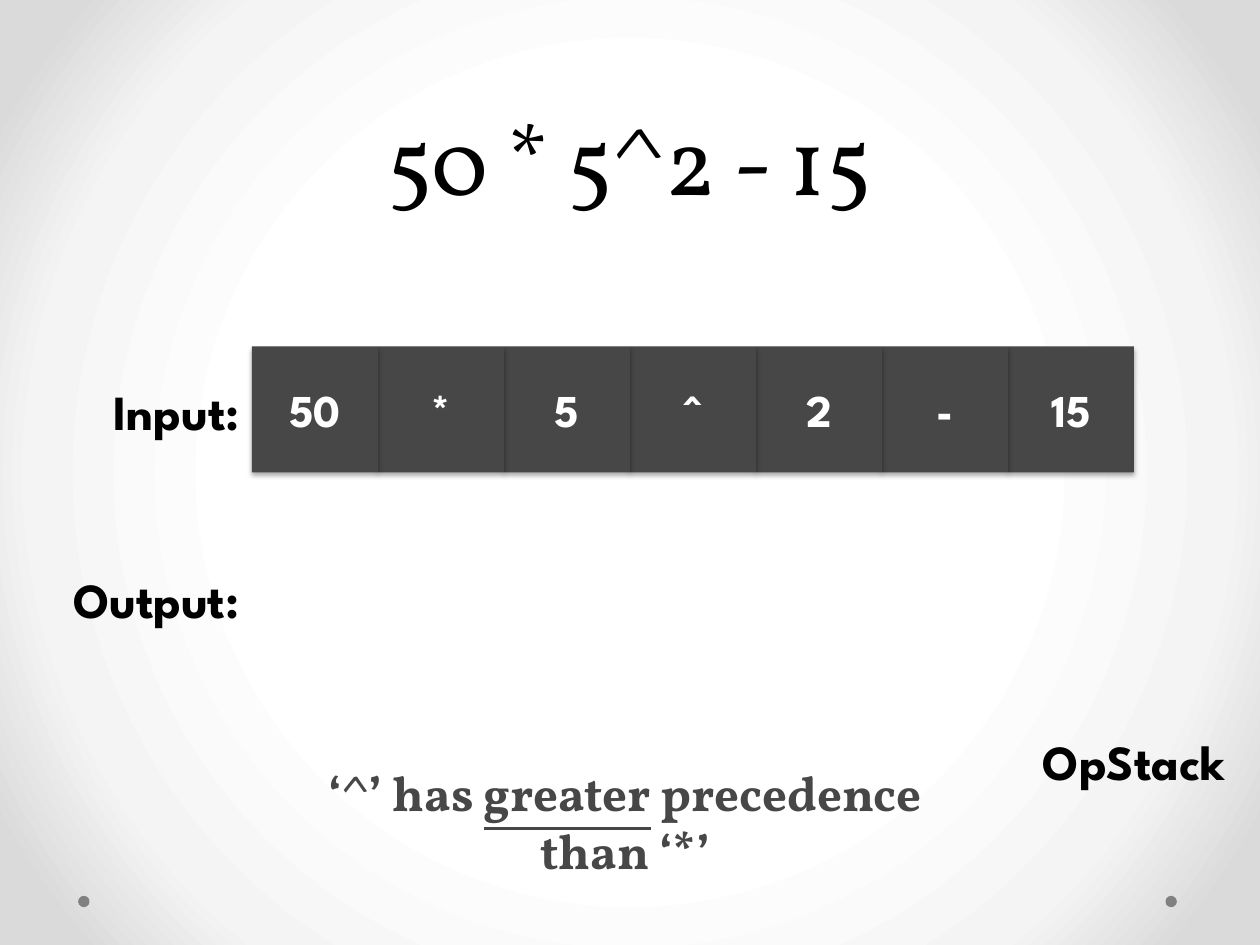
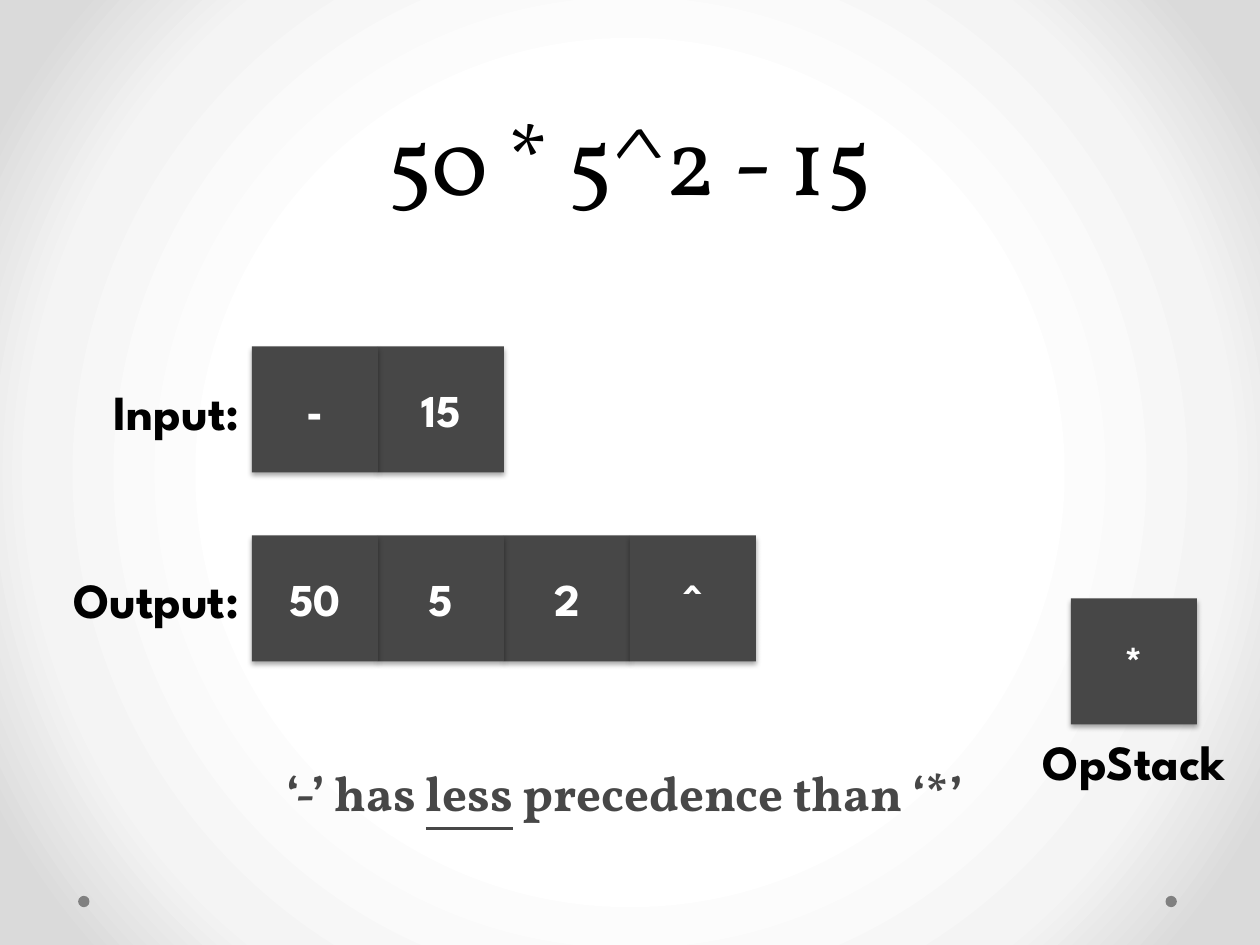
import pptx
import pptx.dml.color
import pptx.enum.shapes
import pptx.enum.text
import pptx.oxml
import pptx.oxml.ns
import pptx.util

EMU_PER_PX = 9144
CELL = 100
INPUT_TOP, OUTPUT_TOP, ROW_LEFT = 275, 425, 200
GRAY, BLACK, WHITE, DOT = "474747", "000000", "FFFFFF", "808080"
SANS, SERIF = "League Spartan", "Vollkorn"
BACKGROUND_STOPS = [(50, "FFFFFF"), (76, "F4F4F4"), (92, "DADADA")]
SHAPES = pptx.enum.shapes.MSO_SHAPE
ALIGN = pptx.enum.text.PP_ALIGN
ANCHOR = pptx.enum.text.MSO_ANCHOR
NS = pptx.oxml.ns.nsdecls("a")


def px(*values):
    return [pptx.util.Emu(v * EMU_PER_PX) for v in values]


def rgb(value):
    return pptx.dml.color.RGBColor.from_string(value)


class Deck:
    """Hold the shared style and the current slide of the stack walkthrough."""

    def __init__(self, prs):
        self.prs = prs
        self.slide = None

    def new_slide(self):
        self.slide = self.prs.slides.add_slide(self.prs.slide_layouts[6])
        self.background()
        for left in (925, 62):
            self.shape(SHAPES.OVAL, left, 711, 9, 9, DOT)
        self.text(50, 0, 900, 175, ["50 * 5^2 - 15"], 54, SERIF, bold=False,
                  anchor=ANCHOR.BOTTOM, spacing=58)
        self.text(0, 276, 200, 100, ["Input:"], align=ALIGN.RIGHT, anchor=ANCHOR.MIDDLE)
        self.text(0, 425, 200, 100, ["Output:"], align=ALIGN.RIGHT, anchor=ANCHOR.MIDDLE)
        self.text(800, 576, 200, 57, ["OpStack"])

    def background(self):
        self.slide.background.fill.gradient()
        grad = self.slide.element.find(".//" + pptx.oxml.ns.qn("a:gradFill"))
        for child in list(grad):
            grad.remove(child)
        stops = "".join(f'<a:gs pos="{pos * 1000}"><a:srgbClr val="{color}"/></a:gs>'
                        for pos, color in BACKGROUND_STOPS)
        grad.append(pptx.oxml.parse_xml(f"<a:gsLst {NS}>{stops}</a:gsLst>"))
        grad.append(pptx.oxml.parse_xml(
            f'<a:path {NS} path="circle">'
            '<a:fillToRect l="50000" t="50000" r="50000" b="50000"/></a:path>'))

    def shape(self, kind, left, top, width, height, color):
        sp = self.slide.shapes.add_shape(kind, *px(left, top, width, height))
        sp.shadow.inherit = False
        sp.fill.solid()
        sp.fill.fore_color.rgb = rgb(color)
        sp.line.fill.background()
        return sp

    def add_runs(self, tf, runs, size, font, color, bold, align, anchor):
        tf.word_wrap = True
        tf.vertical_anchor = anchor
        p = tf.paragraphs[0]
        p.alignment = align
        for words in runs:
            r = p.add_run()
            r.text = words
            r.font.size = pptx.util.Pt(size)
            r.font.name = font
            r.font.bold = bold
            r.font.color.rgb = rgb(color)
        return p

    def text(self, left, top, width, height, runs, size=28, font=SANS, color=BLACK,
             bold=True, align=ALIGN.CENTER, anchor=ANCHOR.TOP, spacing=None):
        sp = self.slide.shapes.add_textbox(*px(left, top, width, height))
        p = self.add_runs(sp.text_frame, runs, size, font, color, bold, align, anchor)
        if spacing:
            p.line_spacing = pptx.util.Pt(spacing)
        return p

    def cell(self, left, top, token):
        sp = self.shape(SHAPES.RECTANGLE, left, top, CELL, CELL, GRAY)
        effects = sp.element.spPr.find(pptx.oxml.ns.qn("a:effectLst"))
        effects.append(pptx.oxml.parse_xml(
            f'<a:outerShdw {NS} blurRad="39370" dist="22860" dir="5400000" rotWithShape="0">'
            '<a:srgbClr val="000000"><a:alpha val="35000"/></a:srgbClr></a:outerShdw>'))
        self.add_runs(sp.text_frame, [token], 26, SANS, WHITE, True,
                      ALIGN.CENTER, ANCHOR.MIDDLE)

    def row(self, top, tokens):
        for i, token in reversed(list(enumerate(tokens))):
            self.cell(ROW_LEFT + i * CELL, top, token)

    def message(self, height, before, stressed, after):
        p = self.text(217, 600, 558, height, [before, stressed, after],
                      font=SERIF, color=GRAY)
        p.runs[1].font.underline = True


def main():
    prs = pptx.Presentation()
    prs.slide_width, prs.slide_height = px(1000, 750)
    s = Deck(prs)

    s.new_slide()
    s.row(INPUT_TOP, ["50", "*", "5", "^", "2", "-", "15"])
    s.message(104, "‘^’ has ", "greater", " precedence than ‘*’")

    s.new_slide()
    s.row(INPUT_TOP, ["-", "15"])
    s.row(OUTPUT_TOP, ["50", "5", "2"])
    s.cell(ROW_LEFT + 3 * CELL, OUTPUT_TOP, "^")
    s.cell(850, 475, "*")
    s.message(57, "‘-’ has ", "less", " precedence than ‘*’")

    prs.save("out.pptx")


if __name__ == "__main__":
    main()
